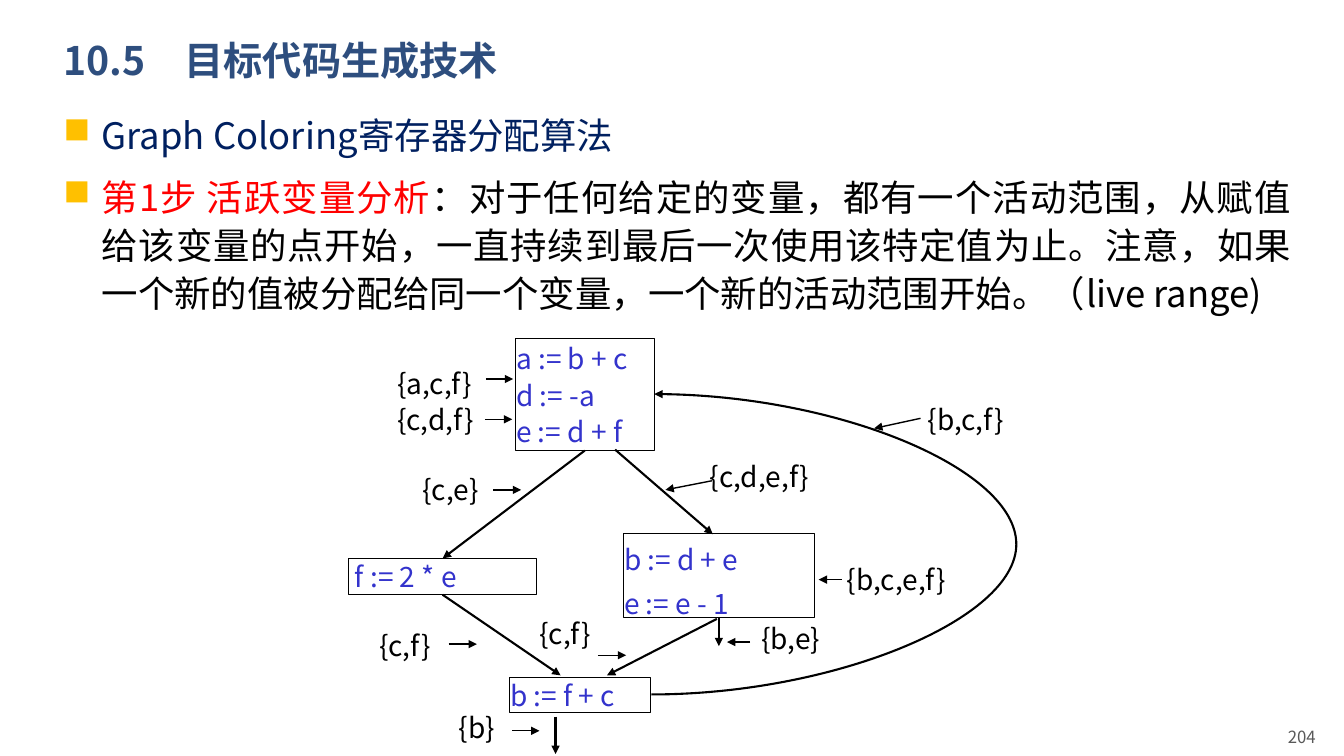
from lxml import etree
from pptx import Presentation
from pptx.dml.color import RGBColor
from pptx.enum.shapes import MSO_CONNECTOR, MSO_SHAPE
from pptx.enum.text import MSO_ANCHOR, PP_ALIGN
from pptx.oxml.ns import qn
from pptx.util import Inches, Pt

STRAIGHT, CURVE = MSO_CONNECTOR.STRAIGHT, MSO_CONNECTOR.CURVE
RECT = MSO_SHAPE.RECTANGLE
TOP, MIDDLE = MSO_ANCHOR.TOP, MSO_ANCHOR.MIDDLE
LEFT, RIGHT, JUSTIFY = PP_ALIGN.LEFT, PP_ALIGN.RIGHT, PP_ALIGN.JUSTIFY

FONT = "Noto Sans CJK SC"
BLACK, CODE, GOLD = "000000", "3333CC", "FFC000"
TITLE_ONLY = 5

# Code blocks of the flow graph: place, lines, line spacing, indent
BLOCKS = [
    ((51.1, 33.6, 13.8, 11.1), ["a := b + c", "d := -a", "e := d + f"], 1.05, 0.1),
    ((34.6, 55.4, 18.6, 3.6), ["f := 2 * e"], 1, 0.6),
    ((61.8, 52.9, 19, 8.4), ["b := d + e", "e := e - 1"], 1.26, 0.1),
    ((50.5, 67.2, 14, 3.5), ["b := f + c"], 1, 0.1),
]
# Live sets: text, column, row, then start and end of the pointer
LIVE_SETS = [
    ("{a,c,f}", 39.4, 36.3, (48.2, 37.6), (50.9, 37.6)),
    ("{c,d,f}", 39.4, 39.8, (48.1, 41.6), (50.8, 41.6)),
    ("{c,e}", 41.9, 46.8, (48.9, 48.6), (51.7, 48.6)),
    ("{c,d,e,f}", 70.4, 45.5, (70.6, 47.7), (66, 48.6)),
    ("{b,c,f}", 92, 39.8, (91.3, 41.5), (86.7, 42.5)),
    ("{b,c,e,f}", 84, 55.7, (83.5, 57.5), (81.2, 57.5)),
    ("{b,e}", 75.5, 61.6, (74.4, 63.7), (72.1, 63.7)),
    ("{c,f}", 37.6, 62.3, (44.5, 63.9), (47.3, 63.9)),
    ("{c,f}", 53.5, 61.1, (59.3, 65), (62.1, 65)),
    ("{b}", 45.5, 70.4, (50.8, 72.5), (53.5, 72.5)),
]
FLOW = [
    ((58, 44.7), (43.9, 55.4)),
    ((61, 44.6), (70.7, 53)),
    ((43.9, 59), (55.6, 67)),
    ((71.1, 61.4), (60.2, 67)),
    ((55.1, 71.1), (55.1, 74.8)),
    ((71.3, 61.2), (71.3, 64.1)),
]
LOOP_START, LOOP_END, LOOP_RIGHT = (64.6, 68.9), (64.9, 39.1), 100.9


def grid(n):
    """Length of n grid cells; ten cells make an inch."""
    return Inches(n / 10)


def rgb(value):
    return RGBColor.from_string(value)


def add_run(p, text, size=20, color=BLACK, bold=False):
    r = p.add_run()
    r.text = text
    r.font.size, r.font.bold, r.font.name = Pt(size), bold, FONT
    r.font.color.rgb = rgb(color)
    etree.SubElement(r.font._element, qn("a:ea"), typeface=FONT)


def setup_frame(tf, anchor=TOP, insets=(0, 0.1, 0, 0)):
    tf.word_wrap = True
    tf.vertical_anchor = anchor
    tf.margin_left, tf.margin_top, tf.margin_right, tf.margin_bottom = map(grid, insets)


def add_text(s, at, text, anchor=TOP, align=LEFT, **fmt):
    tf = s.shapes.add_textbox(*map(grid, at)).text_frame
    setup_frame(tf, anchor)
    tf.paragraphs[0].alignment = align
    add_run(tf.paragraphs[0], text, **fmt)


def add_bullets(s, at, items):
    tf = s.shapes.add_textbox(*map(grid, at)).text_frame
    setup_frame(tf, insets=(1, 0.5, 1, 0.5))
    for i, runs in enumerate(items):
        p = tf.paragraphs[0] if i == 0 else tf.add_paragraph()
        p.alignment, p.line_spacing = JUSTIFY, 1.1
        p.space_before = Pt(10 if i else 0)
        pPr = p._p.get_or_add_pPr()
        pPr.set("marL", str(grid(3.8)))
        pPr.set("indent", str(-grid(3.8)))
        etree.SubElement(etree.SubElement(pPr, qn("a:buClr")), qn("a:srgbClr"), val=GOLD)
        etree.SubElement(pPr, qn("a:buChar"), char="■")
        for text, color in runs:
            add_run(p, text, size=26, color=color)


def add_block(s, at, lines, spacing, indent):
    sp = s.shapes.add_shape(RECT, *map(grid, at))
    sp.shadow.inherit = False
    sp.fill.background()
    sp.line.color.rgb, sp.line.width = rgb(BLACK), Pt(0.75)
    tf = sp.text_frame
    setup_frame(tf, insets=(indent, 0.1, 0, 0))
    for i, line in enumerate(lines):
        p = tf.paragraphs[0] if i == 0 else tf.add_paragraph()
        p.alignment, p.line_spacing = LEFT, spacing
        p.space_before = Pt(1 if i else 0)
        add_run(p, line, color=CODE)


def add_arrow(s, start, end, kind=STRAIGHT, width=1.5):
    c = s.shapes.add_connector(kind, *map(grid, start + end))
    c.line.color.rgb, c.line.width = rgb(BLACK), Pt(width)
    etree.SubElement(c.line._get_or_add_ln(), qn("a:tailEnd"), type="triangle")
    etree.SubElement(c._element.spPr, qn("a:effectLst"))
    return c


def add_loop(s, start, end, right):
    c = add_arrow(s, start, end, CURVE)
    geom = c._element.spPr.find(qn("a:prstGeom"))
    bend = round(100000 * (right - start[0]) / (end[0] - start[0]))
    etree.SubElement(geom.get_or_add_avLst(), qn("a:gd"), name="adj1", fmla=f"val {bend}")


def main():
    prs = Presentation()
    prs.slide_width, prs.slide_height = Inches(13.33), Inches(7.5)
    s = prs.slides.add_slide(prs.slide_layouts[TITLE_ONLY])

    # Title
    title = s.shapes.title
    title.left, title.top, title.width, title.height = map(grid, (5.3, 2.8, 115, 6.8))
    setup_frame(title.text_frame, MIDDLE, (1, 0.5, 1, 0.5))
    p = title.text_frame.paragraphs[0]
    p.alignment, p.line_spacing = LEFT, 0.9
    add_run(p, "10.5　目标代码生成技术", size=28, color="2E4E7E", bold=True)

    # Explanation and page number
    add_bullets(s, (5.3, 10.3, 123.8, 22.7), [
        [("Graph Coloring寄存器分配算法", "002060")],
        [("第1步 活跃变量分析", "FF0000"),
         ("：对于任何给定的变量，都有一个活动范围，从赋值给该变量的点开始，"
          "一直持续到最后一次使用该特定值为止。注意，如果一个新的值被分配给同一个变量，"
          "一个新的活动范围开始。（live range)", BLACK)],
    ])
    add_text(s, (91.6, 71, 38.9, 4), "204", MIDDLE, RIGHT, size=12, color="595959")

    # Flow graph
    for block in BLOCKS:
        add_block(s, *block)
    for start, end in FLOW:
        add_arrow(s, start, end)
    add_loop(s, LOOP_START, LOOP_END, LOOP_RIGHT)

    # Live sets with their pointers
    for text, col, row, start, end in LIVE_SETS:
        add_text(s, (col, row, 13.3, 3.5), text)
        add_arrow(s, start, end, width=1)

    prs.save("out.pptx")


if __name__ == "__main__":
    main()
